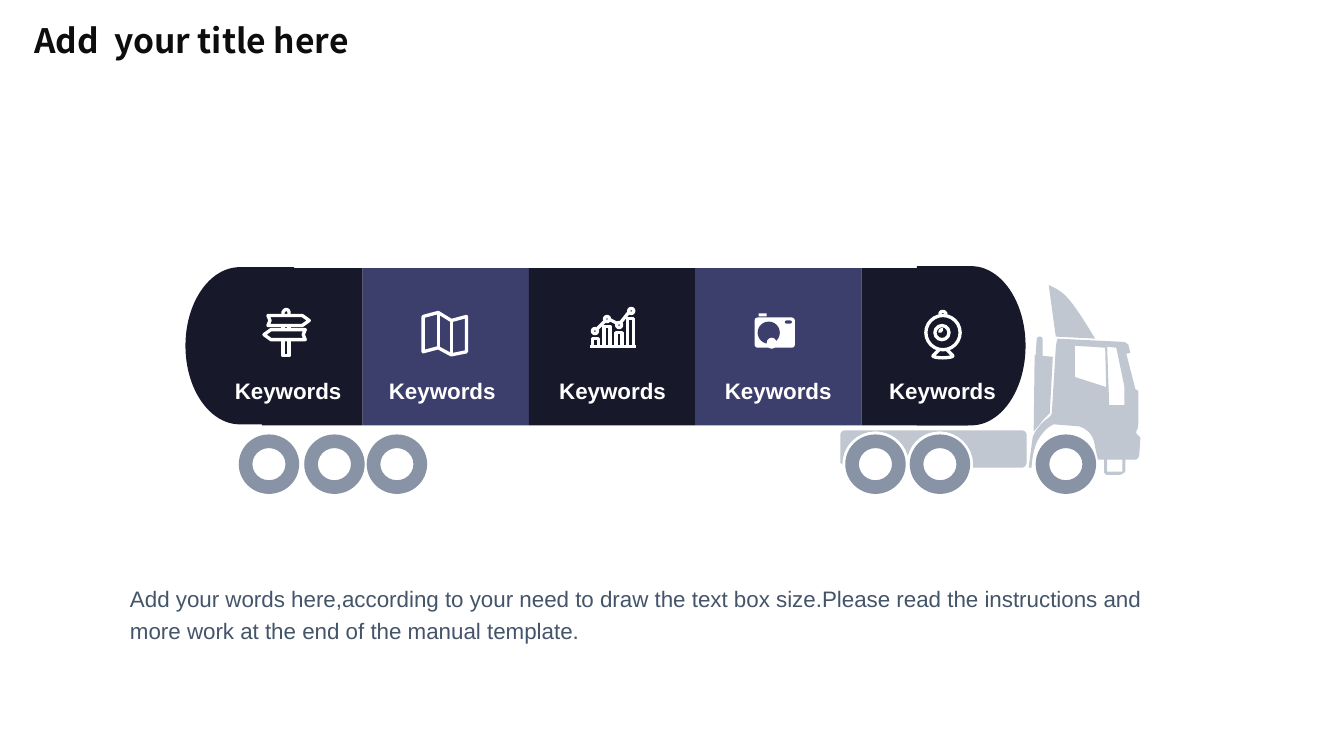
from pptx import Presentation
from pptx.dml.color import RGBColor as Color
from pptx.enum.shapes import MSO_CONNECTOR as Link, MSO_SHAPE as Kind
from pptx.enum.text import MSO_AUTO_SIZE as Auto, PP_ALIGN as Align
from pptx.oxml.ns import qn
from pptx.util import Inches, Pt
from lxml.etree import SubElement as Sub

HUES = {"ink": "0D0D0D", "dark": "171829", "blue": "3C3E6C", "wheel": "8893A5",
        "cab": "C1C7D0", "white": "FFFFFF", "body": "445469"}
FONTS = {
    "title": {"name": "Noto Sans CJK SC", "size": Pt(24), "bold": True},
    "label": {"name": "Arial", "size": Pt(16), "bold": True},
    "body": {"name": "Arial", "size": Pt(16), "bold": False},
}
STEPS = 8


class Deck:
    """Holds the style and the slide being drawn."""

    def __init__(self, wide, high):
        self.show = Presentation()
        self.show.slide_width, self.show.slide_height = Inches(wide), Inches(high)
        self.slide = self.show.slides.add_slide(self.show.slide_layouts[6])
        self.items = self.slide.shapes

    def tint(self, hue):
        return Color.from_string(HUES[hue])

    def paint(self, shape, fill, line):
        shape.shadow.inherit = False
        for part, hue in ((shape.fill, fill), (shape.line.fill, line)):
            if hue:
                part.solid()
                part.fore_color.rgb = self.tint(hue)
            else:
                part.background()
        if line:
            shape.line.width = Pt(2.38)
        return shape

    def block(self, kind, box, fill=None, line=None):
        return self.paint(self.items.add_shape(kind, *map(Inches, box)), fill, line)

    def form(self, loops, fill=None, line=None, close=True):
        pen = None
        for loop in loops:
            dots = bend(loop)
            if pen is None:
                pen = self.items.build_freeform(*dots[0], scale=1.0)
            else:
                pen.move_to(*dots[0])
            pen.add_line_segments(dots[1:], close=close)
        return self.paint(pen.convert_to_shape(), fill, line)

    def stroke(self, *ends):
        line = self.items.add_connector(Link.STRAIGHT, *map(Inches, ends))
        line.line.color.rgb = self.tint("white")
        line.line.width = Pt(2.38)
        Sub(line._element.spPr, qn("a:effectLst"))

    def text(self, words, box, style, hue, pad=(0, 0), align=Align.LEFT, space=1.0):
        frame = self.items.add_textbox(*map(Inches, box)).text_frame
        side, edge = map(Inches, pad)
        looks = {"word_wrap": True, "auto_size": Auto.SHAPE_TO_FIT_TEXT,
                 "margin_left": side, "margin_right": side,
                 "margin_top": edge, "margin_bottom": edge}
        para = frame.paragraphs[0]
        run = para.add_run()
        run.text = words
        run.font.color.rgb = self.tint(hue)
        lay = {"alignment": align, "line_spacing": space}
        for item, values in ((frame, looks), (para, lay), (run.font, FONTS[style])):
            for key, value in values.items():
                setattr(item, key, value)


def bend(loop):
    """Turns points and cubic curves into a list of close points."""
    dots = [loop[0]]
    for step in loop[1:]:
        if len(step) == 2:
            dots.append(step)
            continue
        knots = (dots[-1], step[:2], step[2:4], step[4:])
        for i in range(1, STEPS + 1):
            t = i / STEPS
            mix = ((1 - t) ** 3, 3 * t * (1 - t) ** 2, 3 * t * t * (1 - t), t ** 3)
            dots.append(tuple(sum(m * k[axis] for m, k in zip(mix, knots)) for axis in (0, 1)))
    return [(Inches(x), Inches(y)) for x, y in dots]


CAB = [
    [(10.25, 4.34), (10.27, 4.27, 10.35, 4.18, 10.4, 4.15),
     (10.44, 4.12, 10.44, 4.1, 10.44, 4.1), (10.48, 3.45),
     (10.49, 3.36, 10.5, 3.36, 10.5, 3.36), (11.11, 3.39),
     (11.19, 3.39, 11.18, 3.41, 11.2, 3.42), (11.22, 3.5), (11.18, 3.51),
     (11.27, 3.86), (11.3, 3.88), (11.3, 4.15),
     (11.3, 4.28, 11.28, 4.27, 11.28, 4.27), (11.28, 4.3), (11.32, 4.34),
     (11.31, 4.49), (11.31, 4.56, 11.27, 4.56, 11.27, 4.56), (11.17, 4.56),
     (11.17, 4.67), (11.16, 4.69), (11.12, 4.71), (10.98, 4.71), (10.96, 4.69),
     (10.96, 4.56), (10.9, 4.56), (10.9, 4.56, 10.88, 4.5, 10.86, 4.38),
     (10.83, 4.26, 10.71, 4.23, 10.71, 4.23), (10.46, 4.21),
     (10.46, 4.21, 10.37, 4.24, 10.3, 4.37),
     (10.24, 4.49, 10.24, 4.64, 10.24, 4.64), (10.21, 4.64)],
    [(11.08, 3.45), (10.99, 3.44), (11.01, 4.02), (11.16, 4.02), (11.16, 3.83)],
    [(10.99, 4.56), (10.99, 4.68), (11.14, 4.68), (11.14, 4.56)],
    [(10.98, 3.84), (10.97, 3.45), (10.67, 3.43), (10.67, 3.74)],
]
PIPE = [(10.27, 3.52), (10.28, 3.53), (10.29, 3.36), (10.29, 3.36, 10.32, 3.31, 10.35, 3.36),
        (10.35, 3.53), (10.45, 3.54), (10.42, 4.1), (10.42, 4.1, 10.37, 4.14, 10.32, 4.21),
        (10.26, 4.28)]
FRAME = [(8.39, 4.27), (10.14, 4.27), (10.17, 4.27, 10.19, 4.29, 10.19, 4.32), (10.19, 4.59),
         (10.19, 4.61, 10.17, 4.64, 10.14, 4.64), (9.66, 4.64), (9.66, 4.61),
         (9.66, 4.43, 9.51, 4.28, 9.33, 4.28), (9.17, 4.28, 9.05, 4.38, 9.01, 4.52),
         (8.97, 4.38, 8.84, 4.28, 8.69, 4.28), (8.5, 4.28, 8.36, 4.43, 8.36, 4.61),
         (8.34, 4.59), (8.34, 4.32), (8.34, 4.29, 8.36, 4.27, 8.39, 4.27)]
FIN = [(10.87, 3.36), (10.87, 3.36, 10.7, 3.07, 10.61, 2.97),
       (10.53, 2.87, 10.41, 2.83, 10.41, 2.83), (10.48, 3.34)]


def truck(deck):
    deck.block(Kind.RECTANGLE, (8.55, 2.66, 1.06, 1.56), "dark")
    deck.block(Kind.FLOWCHART_DELAY, (9.1, 2.64, 1.08, 1.58), "dark")
    deck.block(Kind.RECTANGLE, (2.6, 2.66, 1, 1.56), "dark")
    deck.block(Kind.FLOWCHART_DELAY, (1.84, 2.65, 1.08, 1.56), "dark").rotation = 180
    for loops in (CAB, [PIPE], [FRAME], [FIN]):
        deck.form(loops, "cab")
    for left in (2.37, 3.02, 3.64, 8.39, 9.03, 10.28):
        wheel = deck.block(Kind.DONUT, (left, 4.31, 0.6, 0.59), "wheel")
        wheel.adjustments[0] = 0.23
    for i, hue in enumerate(("blue", "dark", "blue")):
        deck.block(Kind.RECTANGLE, (3.6 + 1.65 * i, 2.66, 1.65, 1.56), hue)


def signs(deck):
    deck.form([[(2.81, 3.12), (2.81, 3.1), (2.81, 3.09, 2.83, 3.07, 2.84, 3.07),
                (2.86, 3.07, 2.87, 3.09, 2.87, 3.1), (2.87, 3.12)]], line="white", close=False)
    for x in (2.81, 2.87):
        deck.stroke(x, 3.23, x, 3.27)
    deck.form([[(2.81, 3.37), (2.81, 3.53), (2.87, 3.53), (2.87, 3.37)]], line="white", close=False)
    deck.form([[(3, 3.23), (2.66, 3.23), (2.68, 3.18), (2.66, 3.13), (3, 3.13), (3.07, 3.18)]],
              line="white")
    deck.form([[(2.69, 3.27), (3.03, 3.27), (3.01, 3.32), (3.03, 3.37), (2.69, 3.37),
                (2.62, 3.32)]], line="white")


def chart(deck):
    for x, y in ((5.88, 3.26), (6, 3.14), (6.12, 3.2), (6.24, 3.06)):
        deck.block(Kind.OVAL, (x, y, 0.05, 0.05), line="white")
    for i, high in enumerate((0.08, 0.2, 0.14, 0.28)):
        deck.block(Kind.RECTANGLE, (5.88 + 0.117 * i, 3.44 - high, 0.06, high), line="white")
    for ends in ((6.31, 3.44, 5.86, 3.44), (6.05, 3.17, 6.13, 3.21),
                 (5.93, 3.26, 6.01, 3.18), (6.16, 3.2, 6.24, 3.1)):
        deck.stroke(*ends)


def map_sheet(deck):
    deck.form([[(4.35, 3.1), (4.2, 3.14), (4.2, 3.49), (4.35, 3.45), (4.48, 3.52),
                (4.63, 3.49), (4.63, 3.14), (4.48, 3.18)]], line="white")
    deck.stroke(4.48, 3.52, 4.48, 3.18)
    deck.stroke(4.35, 3.45, 4.35, 3.1)


def camera(deck):
    deck.block(Kind.ROUNDED_RECTANGLE, (7.49, 3.15, 0.4, 0.3), "white").adjustments[0] = 0.1
    deck.block(Kind.OVAL, (7.52, 3.19, 0.22, 0.22), "blue")
    deck.block(Kind.ROUNDED_RECTANGLE, (7.79, 3.18, 0.07, 0.03), "blue").adjustments[0] = 0.5
    deck.block(Kind.RECTANGLE, (7.53, 3.11, 0.08, 0.03), "white")
    deck.block(Kind.OVAL, (7.61, 3.35, 0.1, 0.11), "white")


def webcam(deck):
    for x, y, size in ((9.19, 3.13, 0.34), (9.28, 3.23, 0.14)):
        deck.block(Kind.OVAL, (x, y, size, size), line="white")
    for curve in ([(9.39, 3.12), (9.39, 3.1, 9.37, 3.09, 9.36, 3.09),
                   (9.34, 3.09, 9.33, 3.1, 9.33, 3.12)],
                  [(9.33, 3.3), (9.33, 3.28, 9.34, 3.27, 9.36, 3.27)],
                  [(9.4, 3.47), (9.46, 3.53), (9.46, 3.54, 9.41, 3.55, 9.36, 3.55),
                   (9.3, 3.55, 9.26, 3.54, 9.26, 3.53), (9.32, 3.47)]):
        deck.form([curve], line="white", close=False)


def main():
    deck = Deck(13.34, 7.5)
    deck.text("Add  your title here", (0.24, 0.15, 3.57, 0.5), "title", "ink", (0.1, 0.05))
    for draw in (truck, signs, map_sheet, chart, camera, webcam):
        draw(deck)
    for left, wide in ((2.3, 1.12), (3.81, 1.16), (5.47, 1.22), (7.14, 1.17), (8.78, 1.15)):
        deck.text("Keywords", (left, 3.74, wide, 0.27), "label", "white", align=Align.CENTER)
    deck.text("Add your words here,according to your need to draw the text box size."
              "Please read the instructions and more work at the end of the manual template.",
              (1.29, 5.75, 10.42, 0.64), "body", "body", space=1.2)
    deck.show.save("out.pptx")


if __name__ == "__main__":
    main()
